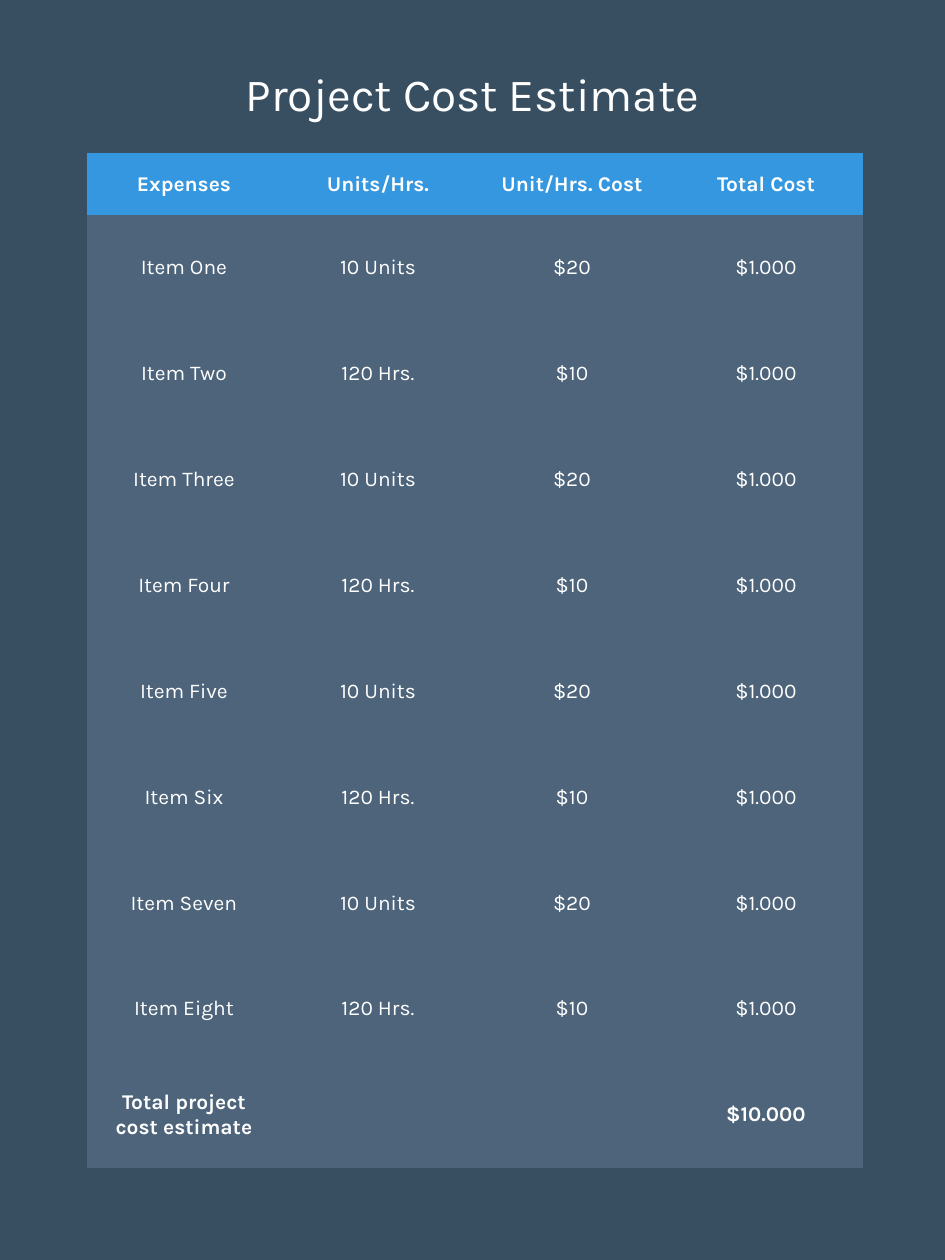
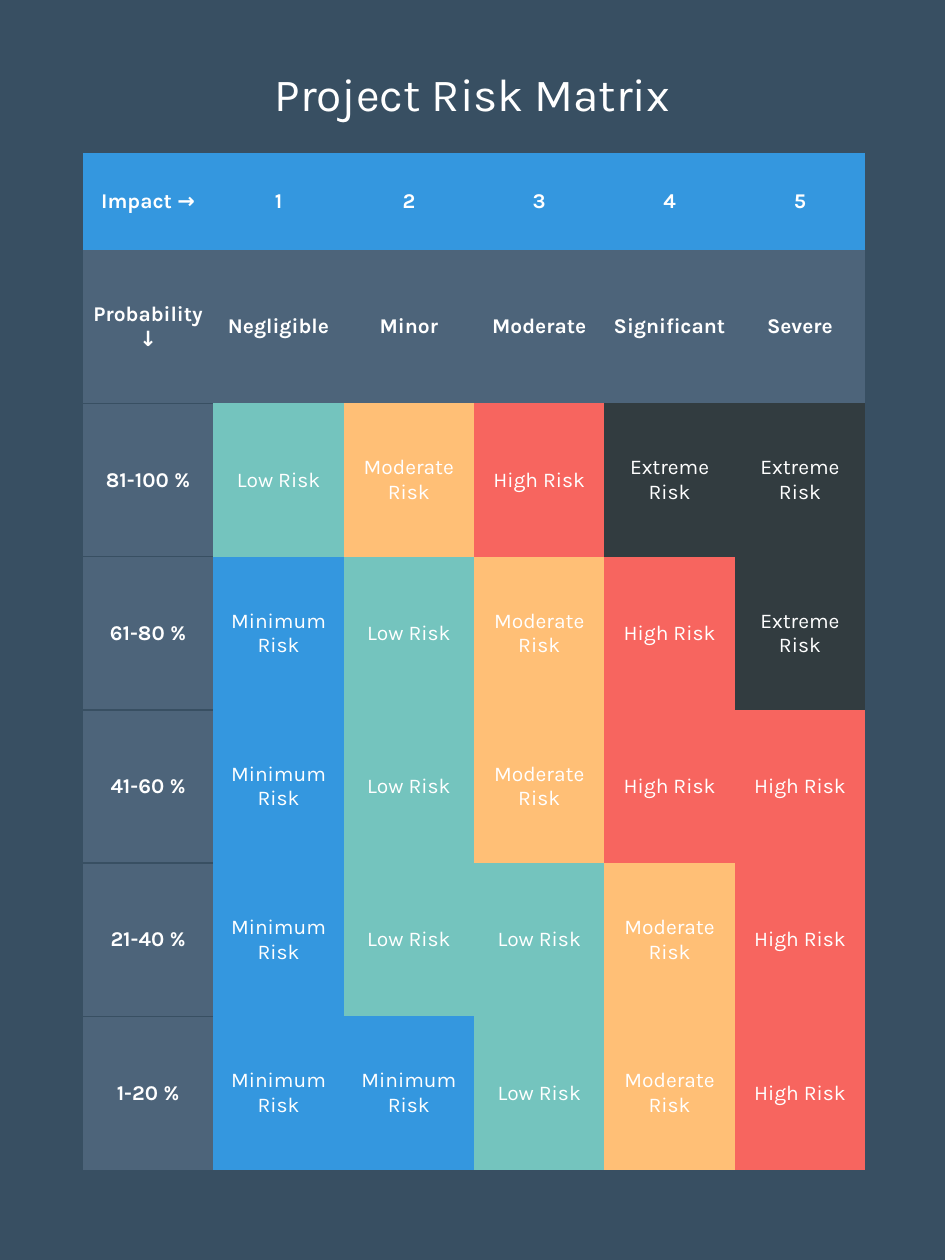
from pptx import Presentation
from pptx.dml.color import RGBColor
from pptx.enum.text import MSO_ANCHOR, MSO_AUTO_SIZE, PP_ALIGN
from pptx.oxml.ns import qn
from pptx.util import Pt
from lxml.etree import SubElement

FONT = "Karla"
COLORS = {
    "background": "384F62",
    "header": "3497DF",
    "panel": "4D647A",
    "text": "FFFFFF",
    "Minimum Risk": "3497DF",
    "Low Risk": "74C4BE",
    "Moderate Risk": "FFBF76",
    "High Risk": "F7655F",
    "Extreme Risk": "323C40",
}
TITLE_BOX = (48.24, 43.2, 443.52, 25.92)
COST_BOX = (49.7, 87.5, 443.52, 579.8)
RISK_BOX = (47.4, 87.5, 447.12, 581)
COST_HEADER_HEIGHT = 35.3
IMPACT_HEADER_HEIGHT = 55.4

COST_HEADER = ["Expenses", "Units/Hrs.", "Unit/Hrs. Cost", "Total Cost"]
ITEMS = ["One", "Two", "Three", "Four", "Five", "Six", "Seven", "Eight"]
RATES = [["10 Units", "$20"], ["120 Hrs.", "$10"]]
COST_TOTAL = ["Total project cost estimate", "", "", "$10.000"]

RISK_HEADERS = [
    ["Impact →", "1", "2", "3", "4", "5"],
    ["Probability\v↓", "Negligible", "Minor", "Moderate", "Significant", "Severe"],
]
RISK_LEVELS = {
    "81-100 %": ["Low", "Moderate", "High", "Extreme", "Extreme"],
    "61-80 %": ["Minimum", "Low", "Moderate", "High", "Extreme"],
    "41-60 %": ["Minimum", "Low", "Moderate", "High", "High"],
    "21-40 %": ["Minimum", "Low", "Low", "Moderate", "High"],
    "1-20 %": ["Minimum", "Minimum", "Low", "Moderate", "High"],
}


def color(name):
    return RGBColor.from_string(COLORS[name])


def format_paragraph(paragraph, size, bold):
    paragraph.alignment = PP_ALIGN.CENTER
    for span in paragraph.runs:
        span.font.name = FONT
        span.font.size = Pt(size)
        span.font.bold = bold
        span.font.color.rgb = color("text")


def add_page(deck, title):
    page = deck.slides.add_slide(deck.slide_layouts[6])
    page.background.fill.solid()
    page.background.fill.fore_color.rgb = color("background")
    box = page.shapes.add_textbox(*map(Pt, TITLE_BOX))
    frame = box.text_frame
    frame.margin_left = frame.margin_right = frame.margin_top = frame.margin_bottom = 0
    frame.word_wrap = True
    frame.auto_size = MSO_AUTO_SIZE.SHAPE_TO_FIT_TEXT
    frame.vertical_anchor = MSO_ANCHOR.MIDDLE
    frame.text = title
    paragraph = frame.paragraphs[0]
    paragraph.line_spacing = 0.8
    format_paragraph(paragraph, 26.3, False)
    return page


def set_borders(cell, ruled_sides):
    properties = cell._tc.get_or_add_tcPr()
    for side in "LRTB":
        line = SubElement(properties, qn(f"a:ln{side}"), w=str(Pt(1)))
        if side in ruled_sides:
            fill = SubElement(line, qn("a:solidFill"))
            SubElement(fill, qn("a:srgbClr"), val=COLORS["background"])
        else:
            SubElement(line, qn("a:noFill"))


def fill_cell(cell, text, fill, bold, margin, ruled_sides=""):
    set_borders(cell, ruled_sides)
    cell.fill.solid()
    cell.fill.fore_color.rgb = color(fill)
    cell.vertical_anchor = MSO_ANCHOR.MIDDLE
    cell.margin_left = cell.margin_right = Pt(margin)
    cell.margin_top = cell.margin_bottom = Pt(margin)
    cell.text_frame.text = text
    paragraph = cell.text_frame.paragraphs[0]
    properties = paragraph._p.get_or_add_pPr()
    for side in ("marL", "marR"):
        properties.set(side, str(Pt(3)))
    properties.set("indent", "0")
    format_paragraph(paragraph, 12, bold)


def add_grid(page, box, row_count, column_count, header_height):
    left, top, width, height = box
    table = page.shapes.add_table(row_count, column_count, *map(Pt, box)).table
    table.first_row = table.horz_banding = False
    for column in table.columns:
        column.width = Pt(width / column_count)
    for row in table.rows:
        row.height = Pt((height - header_height) / (row_count - 1))
    table.rows[0].height = Pt(header_height)
    return table


def add_cost_table(page, box):
    rows = [COST_HEADER]
    rows += [[f"Item {item}", *RATES[i % 2], "$1.000"] for i, item in enumerate(ITEMS)]
    rows.append(COST_TOTAL)
    table = add_grid(page, box, len(rows), len(COST_HEADER), COST_HEADER_HEIGHT)
    for r, row in enumerate(rows):
        fill = "header" if r == 0 else "panel"
        bold = r in (0, len(rows) - 1)
        for c, text in enumerate(row):
            fill_cell(table.cell(r, c), text, fill, bold, 10)


def add_risk_matrix(page, box):
    rows = RISK_HEADERS + [
        [probability, *(f"{level} Risk" for level in levels)]
        for probability, levels in RISK_LEVELS.items()
    ]
    table = add_grid(page, box, len(rows), len(rows[0]), IMPACT_HEADER_HEIGHT)
    for r, row in enumerate(rows):
        for c, text in enumerate(row):
            is_risk = text in COLORS
            fill = text if is_risk else "header" if r == 0 else "panel"
            ruled_sides = ""
            if c == 0:
                ruled_sides += "T" if r > 1 else ""
                ruled_sides += "B" if 0 < r < len(rows) - 1 else ""
            fill_cell(table.cell(r, c), text, fill, not is_risk, 1.44, ruled_sides)


def main():
    deck = Presentation()
    deck.slide_width, deck.slide_height = Pt(540), Pt(720)
    add_cost_table(add_page(deck, "Project Cost Estimate"), COST_BOX)
    add_risk_matrix(add_page(deck, "Project Risk Matrix"), RISK_BOX)
    deck.save("out.pptx")


if __name__ == "__main__":
    main()
